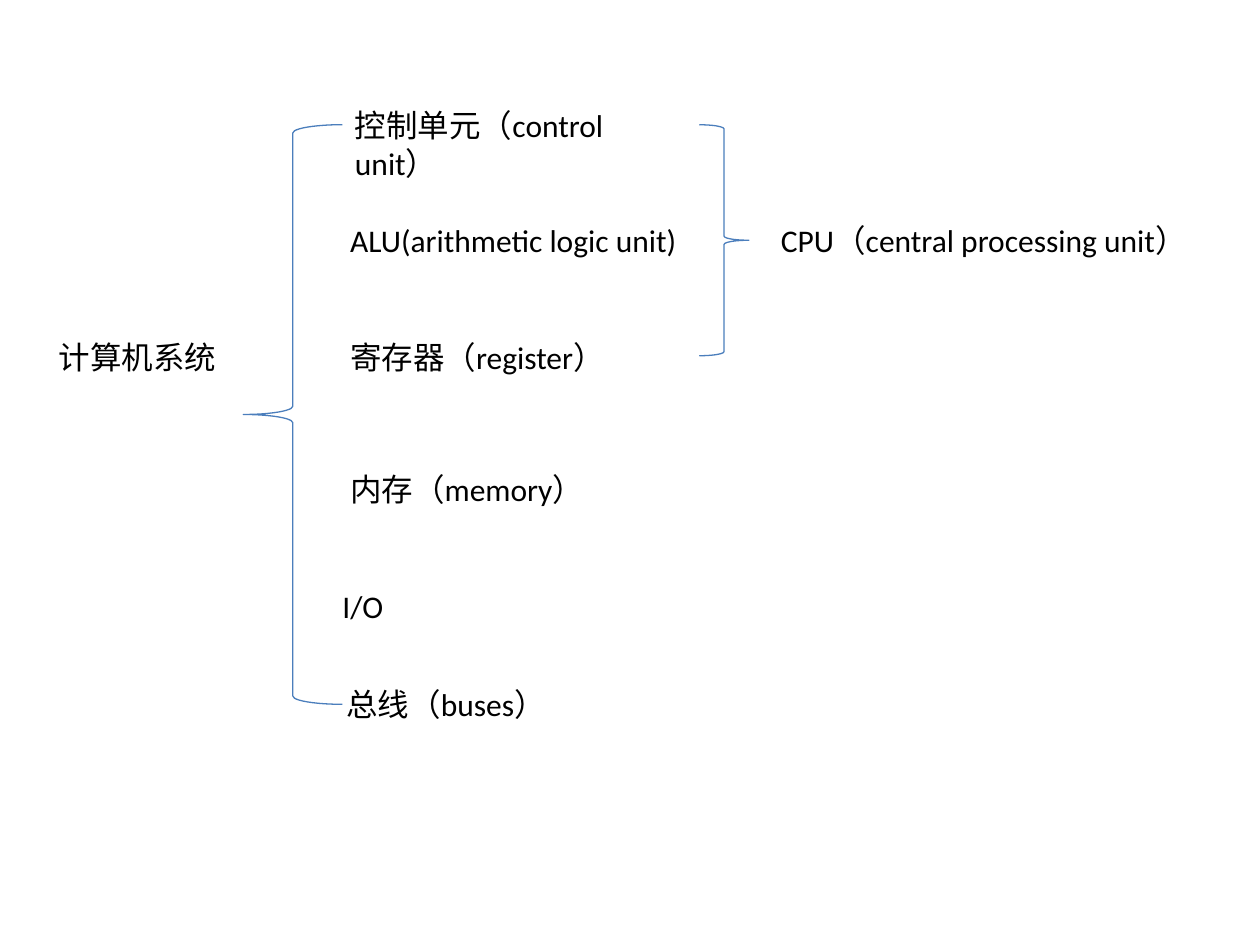
"""Build a slide that maps the parts of a computer system with braces."""
from dataclasses import dataclass

from pptx import Presentation
from pptx.dml.color import RGBColor
from pptx.enum.shapes import MSO_SHAPE
from pptx.enum.text import MSO_AUTO_SIZE, PP_ALIGN
from pptx.util import Pt

LEFT_BRACE = MSO_SHAPE.LEFT_BRACE
RIGHT_BRACE = MSO_SHAPE.RIGHT_BRACE
FIT = MSO_AUTO_SIZE.SHAPE_TO_FIT_TEXT
LEFT = PP_ALIGN.LEFT

COLORS = {"text": "000000", "line": "4B7EBC"}
FONT = "Calibri"
LABEL_HEIGHT = 29.08
BRACE_TOP = 71.3


@dataclass(frozen=True)
class Label:
    text: str
    left: float
    top: float
    width: float = 218.2
    wrap: bool = True


@dataclass(frozen=True)
class Brace:
    kind: MSO_SHAPE
    left: float
    width: float
    height: float


LABELS = [
    Label("计算机系统", 26.6, 189.4, 105.1, wrap=False),
    Label("控制单元（control unit）", 195.8, 56.9, 203.8),
    Label("ALU(arithmetic logic unit)", 193, 122.6),
    Label("寄存器（register）", 193, 189.4),
    Label("内存（memory）", 193, 265),
    Label("I/O", 188.6, 331.9),
    Label("总线（buses）", 190.8, 388.1),
    Label("CPU（central processing unit）", 439.2, 122.9, 249.1),
]
BRACES = [
    Brace(LEFT_BRACE, 139, 56.7, 331.2),
    Brace(RIGHT_BRACE, 399.6, 28.35, 132),
]


def color(name: str) -> RGBColor:
    return RGBColor.from_string(COLORS[name])


def write(frame, text: str, *, size: float = 18, font: str = FONT,
          ink: str = "text", align: PP_ALIGN = LEFT, wrap: bool = True) -> None:
    frame.word_wrap = wrap
    frame.auto_size = FIT
    para = frame.paragraphs[0]
    para.alignment = align
    run = para.add_run()
    run.text = text
    run.font.size = Pt(size)
    run.font.name = font
    run.font.color.rgb = color(ink)


def draw_label(slide, label: Label) -> None:
    box = slide.shapes.add_textbox(
        Pt(label.left), Pt(label.top), Pt(label.width), Pt(LABEL_HEIGHT))
    write(box.text_frame, label.text, wrap=label.wrap)


def draw_brace(slide, brace: Brace) -> None:
    shape = slide.shapes.add_shape(
        brace.kind, Pt(brace.left), Pt(BRACE_TOP),
        Pt(brace.width), Pt(brace.height))
    shape.shadow.inherit = False
    shape.fill.background()
    shape.line.color.rgb = color("line")
    shape.line.width = Pt(0.75)


def main() -> None:
    deck = Presentation()
    deck.slide_width, deck.slide_height = Pt(720), Pt(540)
    slide = deck.slides.add_slide(deck.slide_layouts[6])
    for brace in BRACES:
        draw_brace(slide, brace)
    for label in LABELS:
        draw_label(slide, label)
    deck.save("out.pptx")


main()
